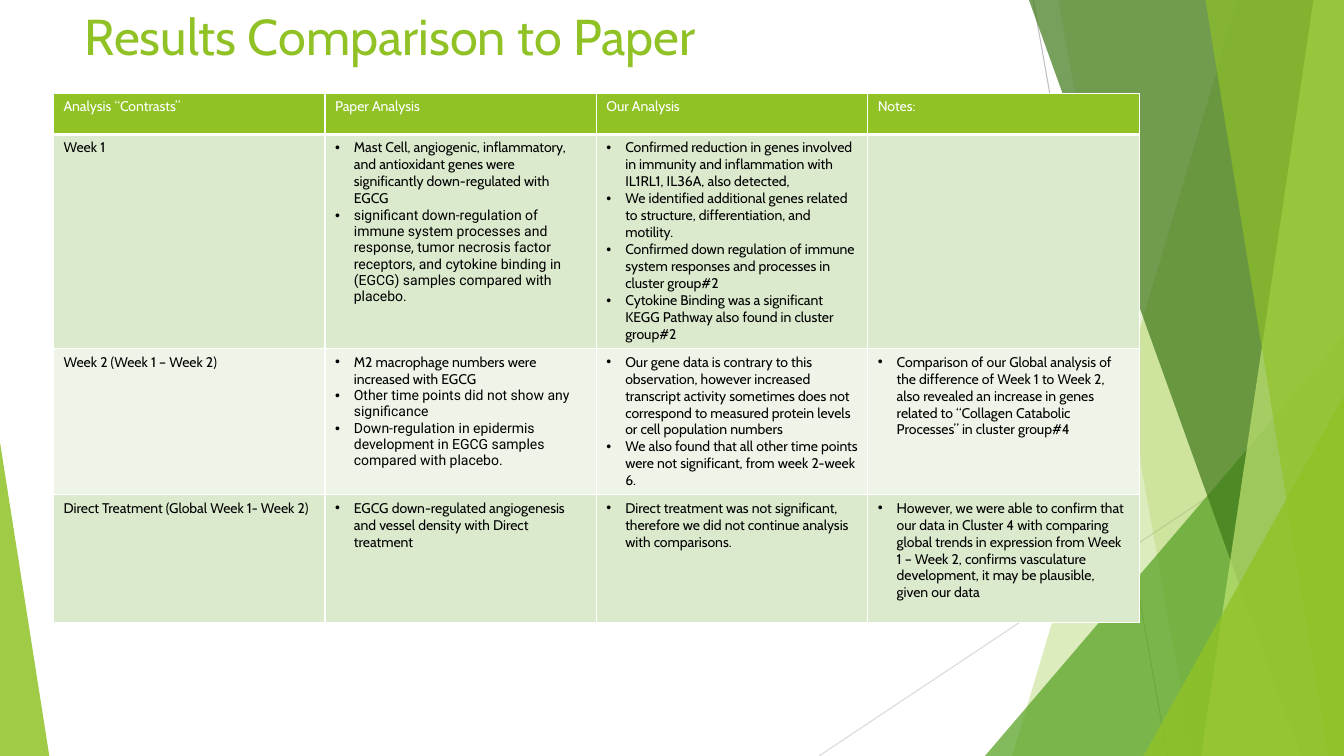
from dataclasses import dataclass

from lxml.etree import SubElement
from pptx import Presentation
from pptx.dml.color import RGBColor
from pptx.enum.shapes import MSO_CONNECTOR, MSO_SHAPE
from pptx.enum.text import MSO_ANCHOR, MSO_AUTO_SIZE, PP_ALIGN
from pptx.oxml.ns import qn
from pptx.util import Emu, Pt

EMU_PER_PX = 9525
PAGE_WIDTH, PAGE_HEIGHT = 1280, 720


@dataclass(frozen=True)
class Theme:
    green: str = "90C226"
    leaf: str = "54A021"
    forest: str = "3F7819"
    lime: str = "C0E474"
    white: str = "FFFFFF"
    black: str = "000000"
    band_dark: str = "DBE9CD"
    band_light: str = "EEF4E8"
    font: str = "Cabin"
    quote_font: str = "Roboto"
    title_size: int = 36
    cell_size: int = 10
    border: int = 1
    header_border: int = 3


THEME = Theme()


@dataclass(frozen=True)
class Ray:
    """A thin line across the backdrop."""
    start: tuple[int, int]
    end: tuple[int, int]
    color: str


@dataclass(frozen=True)
class Blade:
    """A full-height facet reaching the right edge of the page."""
    top_x: int
    bottom_x: int
    color: str
    opacity: int


@dataclass(frozen=True)
class Wedge:
    """A triangle standing on the bottom edge of the page."""
    left: int
    top: int
    width: int
    apex: int
    color: str
    opacity: int


@dataclass(frozen=True)
class Bullet:
    text: str
    font: str = THEME.font


RAYS = [
    Ray((984, 0), (1112, 720), "BFBFBF"),
    Ray((1280, 387), (780, 720), "D9D9D9"),
]
FACETS = [
    Blade(1179, 964, THEME.green, 30),
    Blade(1008, 1136, THEME.green, 20),
    Wedge(938, 320, 342, 1, THEME.leaf, 72),
    Blade(980, 1239, THEME.forest, 70),
    Blade(1251, 1144, THEME.lime, 70),
    Blade(1148, 1265, THEME.green, 65),
    Wedge(1089, 377, 191, 1, THEME.green, 80),
    Wedge(0, 421, 47, 0, THEME.green, 85),
]

TABLE_LEFT, TABLE_TOP, TABLE_WIDTH = 51, 89, 1034
ROW_HEIGHTS = [39, 204, 139, 122]
HEADINGS = ["Analysis “Contrasts”", "Paper Analysis", "Our Analysis", "Notes:"]
FINDINGS = [
    ("Week 1", [
        Bullet("Mast Cell, angiogenic, inflammatory, and antioxidant genes were "
               "significantly down-regulated with EGCG"),
        Bullet("significant down-regulation of immune system processes and response, "
               "tumor necrosis factor receptors, and cytokine binding in (EGCG) samples "
               "compared with placebo.", THEME.quote_font),
    ], [
        Bullet("Confirmed reduction in genes involved in immunity and inflammation with "
               "IL1RL1, IL36A, also detected,"),
        Bullet("We identified additional genes related to structure, differentiation, "
               "and motility."),
        Bullet("Confirmed down regulation of immune system responses and processes in "
               "cluster group#2"),
        Bullet("Cytokine Binding was a significant KEGG Pathway also found in cluster "
               "group#2"),
    ], []),
    ("Week 2 (Week 1 – Week 2)", [
        Bullet("M2 macrophage numbers were increased with EGCG"),
        Bullet("Other time points did not show any significance", THEME.quote_font),
        Bullet("Down-regulation in epidermis development in EGCG samples compared with "
               "placebo.", THEME.quote_font),
    ], [
        Bullet("Our gene data is contrary to this observation, however increased "
               "transcript activity sometimes does not correspond to measured protein "
               "levels or cell population numbers"),
        Bullet("We also found that all other time points were not significant, from "
               "week 2-week 6."),
    ], [
        Bullet("Comparison of our Global analysis of the difference of Week 1 to Week 2, "
               "also revealed an increase in genes related to “Collagen Catabolic "
               "Processes” in cluster group#4"),
    ]),
    ("Direct Treatment (Global Week 1- Week 2)", [
        Bullet("EGCG down-regulated angiogenesis and vessel density with Direct treatment"),
    ], [
        Bullet("Direct treatment was not significant, therefore we did not continue "
               "analysis with comparisons."),
    ], [
        Bullet("However, we were able to confirm that our data in Cluster 4 with comparing "
               "global trends in expression from Week 1 – Week 2, confirms vasculature "
               "development, it may be plausible, given our data"),
    ]),
]


def px(length: int) -> Emu:
    return Emu(length * EMU_PER_PX)


def write(para, text: str, *, size: int = THEME.cell_size, color: str = THEME.black,
          font: str = THEME.font, bullet: bool = False) -> None:
    if bullet:
        properties = para._p.get_or_add_pPr()
        properties.set("marL", str(px(18)))
        properties.set("indent", str(-px(18)))
        SubElement(properties, qn("a:buFont"), typeface="Arial")
        SubElement(properties, qn("a:buChar"), char="•")
    span = para.add_run()
    span.text = text
    span.font.name = font
    span.font.size = Pt(size)
    span.font.color.rgb = RGBColor.from_string(color)


def draw_ray(page, ray: Ray) -> None:
    line = page.shapes.add_connector(
        MSO_CONNECTOR.STRAIGHT, *map(px, ray.start), *map(px, ray.end))
    line.line.color.rgb = RGBColor.from_string(ray.color)
    line.line.width = Pt(0.75)
    SubElement(line._element.spPr, qn("a:effectLst"))


def draw_facet(page, facet: Blade | Wedge) -> None:
    if isinstance(facet, Blade):
        outline = page.shapes.build_freeform(facet.top_x, 0, scale=EMU_PER_PX)
        outline.add_line_segments([(PAGE_WIDTH, 0), (PAGE_WIDTH, PAGE_HEIGHT),
                                   (facet.bottom_x, PAGE_HEIGHT)], close=True)
        shape = outline.convert_to_shape()
    else:
        shape = page.shapes.add_shape(
            MSO_SHAPE.ISOSCELES_TRIANGLE, px(facet.left), px(facet.top),
            px(facet.width), px(PAGE_HEIGHT - facet.top))
        shape.adjustments[0] = facet.apex
    shape.shadow.inherit = False
    shape.fill.solid()
    shape.fill.fore_color.rgb = RGBColor.from_string(facet.color)
    tint = shape._element.spPr.find(".//" + qn("a:srgbClr"))
    SubElement(tint, qn("a:alpha"), val=str(facet.opacity * 1000))
    shape.line.fill.background()


def style_cell(cell, fill: str, bottom: int = THEME.border) -> None:
    properties = cell._tc.get_or_add_tcPr()
    for side in "LRTB":
        width = bottom if side == "B" else THEME.border
        edge = SubElement(properties, qn(f"a:ln{side}"), w=str(Pt(width)))
        SubElement(SubElement(edge, qn("a:solidFill")), qn("a:srgbClr"), val=THEME.white)
    cell.fill.solid()
    cell.fill.fore_color.rgb = RGBColor.from_string(fill)


def draw_table(page) -> None:
    table = page.shapes.add_table(
        len(ROW_HEIGHTS), len(HEADINGS), px(TABLE_LEFT), px(TABLE_TOP),
        px(TABLE_WIDTH), px(sum(ROW_HEIGHTS))).table
    table.first_row = table.horz_banding = False
    for row, height in zip(table.rows, ROW_HEIGHTS):
        row.height = px(height)

    # Heading row
    for cell, heading in zip(table.rows[0].cells, HEADINGS):
        style_cell(cell, THEME.green, THEME.header_border)
        write(cell.text_frame.paragraphs[0], heading, color=THEME.white)

    # One row per contrast
    for index, (contrast, *columns) in enumerate(FINDINGS, start=1):
        cells = list(table.rows[index].cells)
        for cell in cells:
            style_cell(cell, THEME.band_dark if index % 2 else THEME.band_light)
        write(cells[0].text_frame.paragraphs[0], contrast)
        for cell, bullets in zip(cells[1:], columns):
            frame = cell.text_frame
            for order, item in enumerate(bullets):
                para = frame.add_paragraph() if order else frame.paragraphs[0]
                write(para, item.text, font=item.font, bullet=True)


def main() -> None:
    deck = Presentation()
    deck.slide_width, deck.slide_height = px(PAGE_WIDTH), px(PAGE_HEIGHT)
    page = deck.slides.add_slide(deck.slide_layouts[5])

    # Backdrop
    for ray in RAYS:
        draw_ray(page, ray)
    for facet in FACETS:
        draw_facet(page, facet)

    # Title, raised above the backdrop
    title = page.shapes.title
    page.shapes._spTree.append(title._element)
    title.left, title.top, title.width, title.height = map(px, (71, 0, 902, 138))
    frame = title.text_frame
    frame.auto_size = MSO_AUTO_SIZE.NONE
    frame.vertical_anchor = MSO_ANCHOR.TOP
    frame.paragraphs[0].alignment = PP_ALIGN.LEFT
    write(frame.paragraphs[0], "Results Comparison to Paper",
          size=THEME.title_size, color=THEME.green)

    draw_table(page)
    deck.save("out.pptx")


if __name__ == "__main__":
    main()
